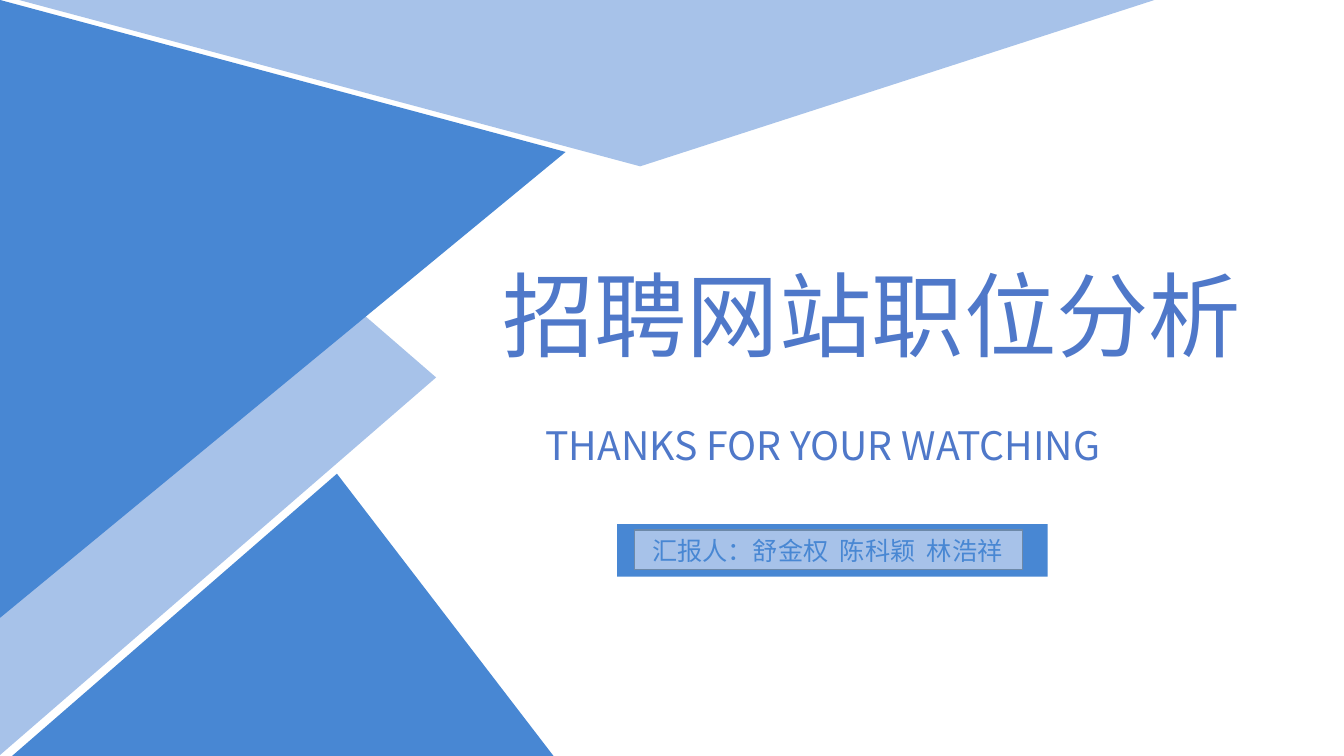
"""Build the closing slide of a job-posting analysis deck."""

from dataclasses import dataclass

from lxml import etree
from pptx import Presentation
from pptx.dml.color import RGBColor
from pptx.enum.shapes import MSO_SHAPE
from pptx.enum.text import MSO_ANCHOR, MSO_AUTO_SIZE, PP_ALIGN
from pptx.oxml.ns import qn
from pptx.util import Inches, Pt

TRIANGLE, RECTANGLE = MSO_SHAPE.ISOSCELES_TRIANGLE, MSO_SHAPE.RECTANGLE
TOP, LEFT = MSO_ANCHOR.TOP, PP_ALIGN.LEFT
GROW, FIXED = MSO_AUTO_SIZE.SHAPE_TO_FIT_TEXT, MSO_AUTO_SIZE.NONE
FONT = "Noto Sans CJK SC"
COLORS = {"pale": "A7C2E9", "blue": "4887D3", "title": "4F78C9", "outline": "6D89A9"}


@dataclass(frozen=True)
class Panel:
    kind: MSO_SHAPE
    bounds: tuple[float, float, float, float]
    fill: str
    rotation: float = 0
    apex: float | None = None
    outline: str | None = None


@dataclass(frozen=True)
class Caption:
    text: str
    bounds: tuple[float, float, float, float]
    size: float
    color: str
    wrap: bool = True


PANELS = [
    Panel(TRIANGLE, (-1.59, 1.58, 7.5, 4.33), "pale", 90, 0.5),
    Panel(TRIANGLE, (-0.26, 0.26, 6.13, 5.61), "blue", 90, 0.246),
    Panel(TRIANGLE, (0.12, 4.7, 5.37, 2.8), "blue", 0, 0.6),
    Panel(TRIANGLE, (0.19, 0, 11.26, 1.65), "pale", 180, 0.453),
    Panel(RECTANGLE, (6.12, 5.2, 4.27, 0.52), "blue"),
    Panel(RECTANGLE, (6.29, 5.26, 3.85, 0.39), "pale", outline="outline"),
]
TITLE = Caption("招聘网站职位分析", (4.88, 2.51, 7.7, 1.21), 66, "title")
SUBTITLE = Caption("THANKS FOR YOUR WATCHING", (5.31, 4.13, 6.14, 0.57), 28, "title")
REPORTERS = Caption("汇报人：舒金权  陈科颖  林浩祥", (6.37, 5.26, 3.77, 0.4), 18, "blue", False)


def rgb(name: str) -> RGBColor:
    """Return the named palette colour."""
    return RGBColor.from_string(COLORS[name])


def draw_panel(page, panel: Panel) -> None:
    """Draw one flat coloured shape."""
    shape = page.shapes.add_shape(panel.kind, *map(Inches, panel.bounds))
    shape.rotation = panel.rotation
    shape.shadow.inherit = False
    shape.fill.solid()
    shape.fill.fore_color.rgb = rgb(panel.fill)
    if panel.apex is not None:
        shape.adjustments[0] = panel.apex
    if panel.outline:
        shape.line.color.rgb = rgb(panel.outline)
        shape.line.width = Pt(1)
    else:
        shape.line.fill.background()


def write_caption(box, caption: Caption) -> None:
    """Place a text box or placeholder and write its single line."""
    box.left, box.top, box.width, box.height = map(Inches, caption.bounds)
    frame = box.text_frame
    frame.text = caption.text
    frame.word_wrap = caption.wrap
    frame.auto_size = FIXED if caption.wrap else GROW
    frame.vertical_anchor = TOP
    para = frame.paragraphs[0]
    para.alignment = LEFT
    para.space_before = Pt(0)
    para.font.size = Pt(caption.size)
    para.font.color.rgb = rgb(caption.color)
    para.font.name = FONT
    defaults = para._p.pPr.find(qn("a:defRPr"))
    etree.SubElement(defaults, qn("a:ea")).set("typeface", FONT)


def main() -> None:
    """Build and save the deck."""
    deck = Presentation()
    deck.slide_width, deck.slide_height = Inches(13.33), Inches(7.5)
    page = deck.slides.add_slide(deck.slide_layouts[0])
    for panel in PANELS:
        draw_panel(page, panel)
    write_caption(page.shapes.title, TITLE)
    write_caption(page.placeholders[1], SUBTITLE)
    write_caption(page.shapes.add_textbox(*map(Inches, REPORTERS.bounds)), REPORTERS)
    deck.save("out.pptx")


if __name__ == "__main__":
    main()
